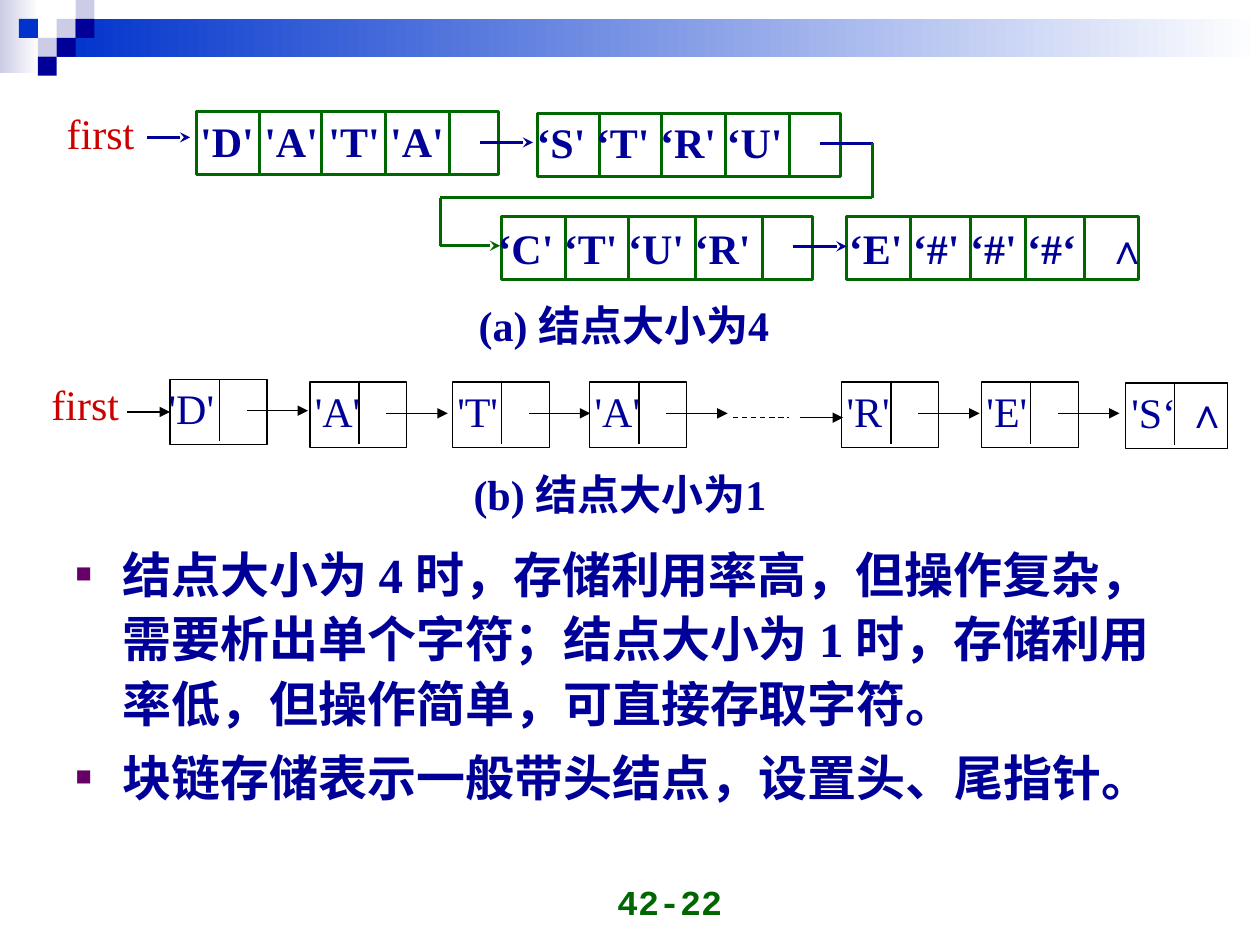
from itertools import pairwise

from lxml.etree import SubElement as Sub
from pptx import Presentation
from pptx.dml.color import RGBColor as Rgb
from pptx.enum.dml import MSO_LINE as Dash
from pptx.enum.shapes import MSO_CONNECTOR as Conn, MSO_SHAPE as Kind
from pptx.enum.text import MSO_ANCHOR as Anchor, MSO_AUTO_SIZE as Fit, PP_ALIGN as Align
from pptx.oxml.ns import qn
from pptx.util import Pt

HUES = {
    "navy": "000099", "blue": "0033CC", "pale": "CCCCE6", "white": "FFFFFF",
    "green": "006600", "red": "CC0000", "plum": "660066", "black": "000000",
}
SERIF = "Times New Roman"


def hue(name):
    return Rgb.from_string(HUES[name])


class Deck:
    """Style and current slide, with one method per kind of element."""

    def __init__(self, slide):
        self.slide = slide
        self.shapes = slide.shapes

    def rect(self, x, y, w, h, fill=None, line=None, width=0.75, fade=False):
        box = self.shapes.add_shape(Kind.RECTANGLE, Pt(x), Pt(y), Pt(w), Pt(h))
        box.shadow.inherit = False
        if fade:
            box.fill.gradient()
            box.fill.gradient_angle = 0
            for stop, name in zip(box.fill.gradient_stops, (fill, "white")):
                stop.color.rgb = hue(name)
        elif fill:
            box.fill.solid()
            box.fill.fore_color.rgb = hue(fill)
        else:
            box.fill.background()
        if line:
            box.line.color.rgb = hue(line)
            box.line.width = Pt(width)
        else:
            box.line.fill.background()

    def line(self, start, end, color="black", width=0.75, head=None, dash=None):
        rule = self.shapes.add_connector(Conn.STRAIGHT, *map(Pt, start + end))
        rule.line.color.rgb = hue(color)
        rule.line.width = Pt(width)
        if dash:
            rule.line.dash_style = dash
        if head:
            Sub(rule.line._get_or_add_ln(), qn("a:tailEnd"), type=head)
        Sub(rule._element.spPr, qn("a:effectLst"))

    def run(self, para, text, size=24, color="navy", font=SERIF, bold=False):
        run = para.add_run()
        run.text = text
        run.font.size = Pt(size)
        run.font.name = font
        run.font.bold = bold
        run.font.color.rgb = hue(color)

    def text(self, x, y, w, h, *runs, align=Align.JUSTIFY, anchor=Anchor.TOP, tab=None):
        """Place a text box; each run is a (text, style) pair."""
        frame = self.shapes.add_textbox(Pt(x), Pt(y), Pt(w), Pt(h)).text_frame
        frame.word_wrap = True
        frame.vertical_anchor = anchor
        para = frame.paragraphs[0]
        para.alignment = align
        if tab:
            stops = Sub(para._p.get_or_add_pPr(), qn("a:tabLst"))
            Sub(stops, qn("a:tab"), pos=str(Pt(tab)), algn="l")
        for words, style in runs:
            self.run(para, words, **style)

    def bullets(self, x, y, w, h, items):
        body = self.slide.placeholders[1]
        body.left, body.top, body.width, body.height = map(Pt, (x, y, w, h))
        frame = body.text_frame
        frame.auto_size = Fit.NONE
        for i, item in enumerate(items):
            para = frame.add_paragraph() if i else frame.paragraphs[0]
            para.line_spacing = 1.1
            para.space_before = Pt(5.2)
            props = para._p.get_or_add_pPr()
            props.set("marL", str(Pt(27)))
            props.set("indent", str(Pt(-27)))
            Sub(Sub(props, qn("a:buClr")), qn("a:srgbClr"), val=HUES["plum"])
            Sub(props, qn("a:buSzPct"), val="55000")
            Sub(props, qn("a:buChar"), char="■")
            self.run(para, item, size=28, bold=True)

    def block(self, x, y, w, cuts, shift, words, end=None):
        """Draw a node of four characters and a link field."""
        self.rect(x, y, w, 36, line="green", width=1.75)
        for cut in cuts:
            self.line((x + cut, y), (x + cut, y + 35.5), "green", 1.75)
        runs = [(words, {"bold": True})]
        if end:
            runs.append((end, {"bold": True, "font": "Arial"}))
        self.text(x - shift, y - (1.5 if y < 100 else 0), 187, 46, *runs, tab=147 if end else None)

    def cell(self, x, y, char, shift=4.3, end=None):
        """Draw a node of one character and a link field."""
        self.rect(x, y, 58.3 if end else 55.4, 37.4, "white", "black")
        self.line((x + 28.1, y), (x + 28.1, y + 35.5))
        runs = [(char, {})]
        if end:
            runs.append((end, {"bold": True, "font": "Arial"}))
        else:
            self.line((x + 43.7, y + 18), (x + 78.8, y + 18), head="triangle")
        self.text(x - shift, y - 1.5, 72 if end else 51, 46, *runs)


def banner(deck):
    deck.rect(0, 0, 22.3, 41.8, "pale", fade=True)
    deck.rect(32.4, 10.8, 687.6, 21.6, "blue", fade=True)
    side = 10.8
    for col, row, name in (
        (3, 1, "pale"), (4, 0, "pale"), (4, 1, "navy"), (2, 2, "pale"),
        (1, 1, "blue"), (3, 2, "navy"), (2, 3, "navy"),
    ):
        deck.rect(col * side, row * side, side, side, name)


def blocks(deck):
    deck.text(31, 57.6, 78.5, 49, ("first", {"color": "red"}))
    for node in (
        (112.3, 64, 172.8, (36, 71.3, 108, 144.7), 5, "'D' 'A' 'T' 'A'"),
        (307.4, 64.8, 172.8, (35.3, 70.6, 107.3, 144), 7.9, "‘S' ‘T' ‘R' ‘U'"),
        (286.6, 123.8, 177.8, (36.7, 72.7, 110.9, 149), 9.4, "‘C' ‘T' ‘U' ‘R'"),
        (483.8, 123.8, 167, (36.7, 70.6, 102.2, 136), 5.8, "‘E' ‘#' ‘#' ‘#‘\t", "∧"),
    ):
        deck.block(*node)
    for left, right, y, head in (
        (84.2, 108.7, 78.5, "stealth"), (274.3, 304.6, 81.4, "stealth"),
        (468.7, 499, 82, None), (452.9, 483.8, 140.8, "stealth"),
    ):
        deck.line((left, y), (right, y), "navy", 1.75, head)
    turns = [(498.5, 81.5), (498.5, 113), (251.5, 113), (251.5, 140.4), (285.8, 140.4)]
    for start, end in pairwise(turns):
        deck.line(start, end, "green", 1.75, "stealth" if end == turns[-1] else None)


def cells(deck):
    deck.text(22.3, 213, 78.5, 49, ("first", {"color": "red"}))
    deck.cell(97.2, 216.7, "'D'", 7.9)
    for x, char in ((177.1, "'A'"), (258.5, "'T'"), (337, "'A'"), (481, "'R'"), (560.9, "'E'")):
        deck.cell(x, 218.2, char)
    deck.cell(643, 218.9, "'S‘ ", 3.6, "∧")
    deck.line((72.7, 235.4), (97.2, 235.4), head="triangle")
    deck.line((419, 238.5), (450.7, 238.5), dash=Dash.DASH)
    deck.line((457.2, 238.7), (481.7, 238.7), head="triangle")


def main():
    show = Presentation()
    show.slide_width, show.slide_height = Pt(720), Pt(540)
    slide = show.slides.add_slide(show.slide_layouts[1])
    title = slide.shapes.title._element
    title.getparent().remove(title)
    deck = Deck(slide)
    banner(deck)
    deck.bullets(36, 304, 648, 187, (
        "结点大小为 4 时，存储利用率高，但操作复杂，需要析出单个字符；"
        "结点大小为 1 时，存储利用率低，但操作简单，可直接存取字符。",
        "块链存储表示一般带头结点，设置头、尾指针。",
    ))
    blocks(deck)
    deck.text(266.4, 167.8, 203.8, 47.5, ("(a) 结点大小为4", {"bold": True}))
    cells(deck)
    deck.text(263.5, 264.2, 212.4, 47.5, ("(b) 结点大小为1", {"bold": True}))
    page = {"size": 20, "color": "green", "font": "Courier New", "bold": True}
    deck.text(252, 494.6, 167.8, 36, ("42-22", page), align=Align.RIGHT, anchor=Anchor.BOTTOM)
    show.save("out.pptx")


if __name__ == "__main__":
    main()
